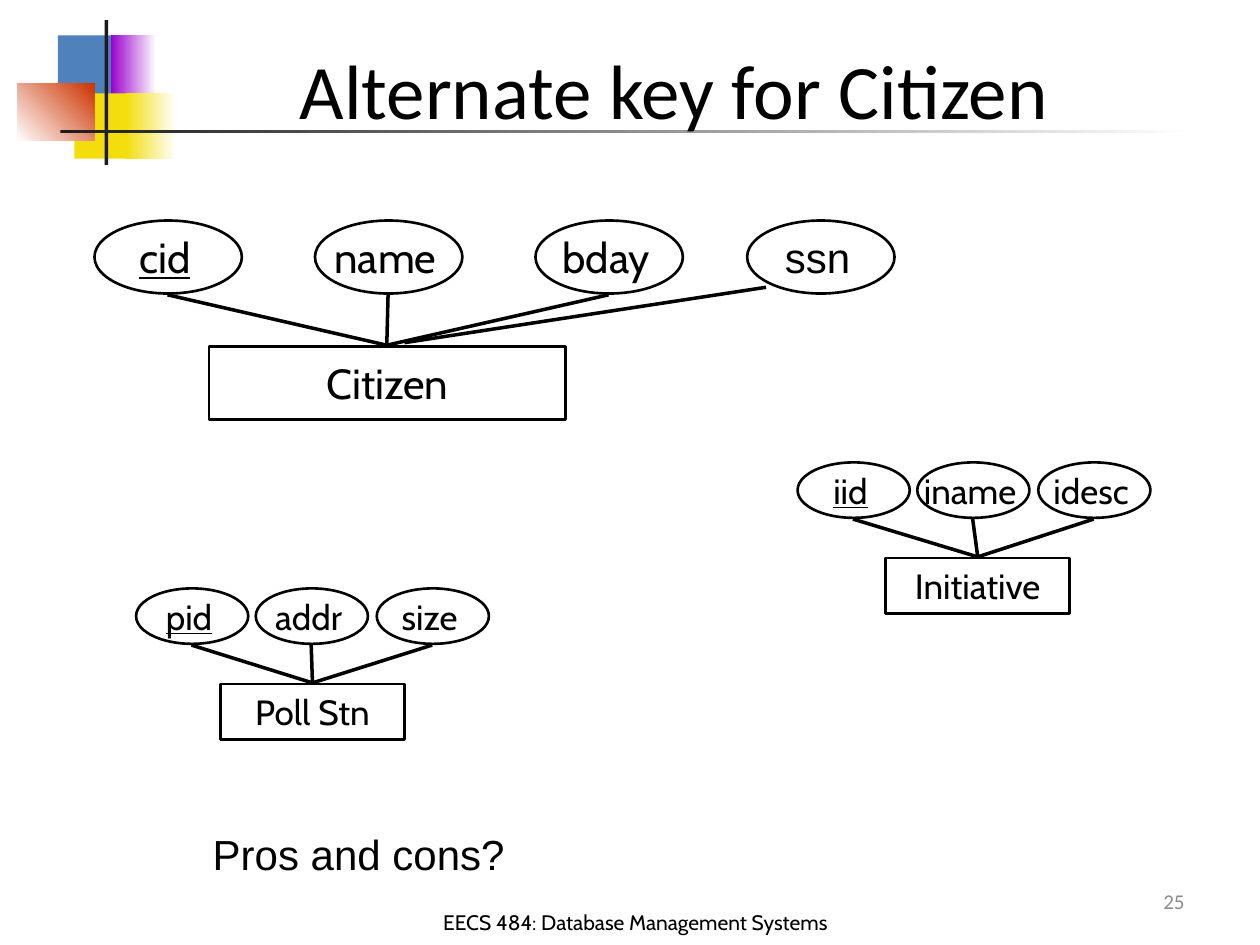
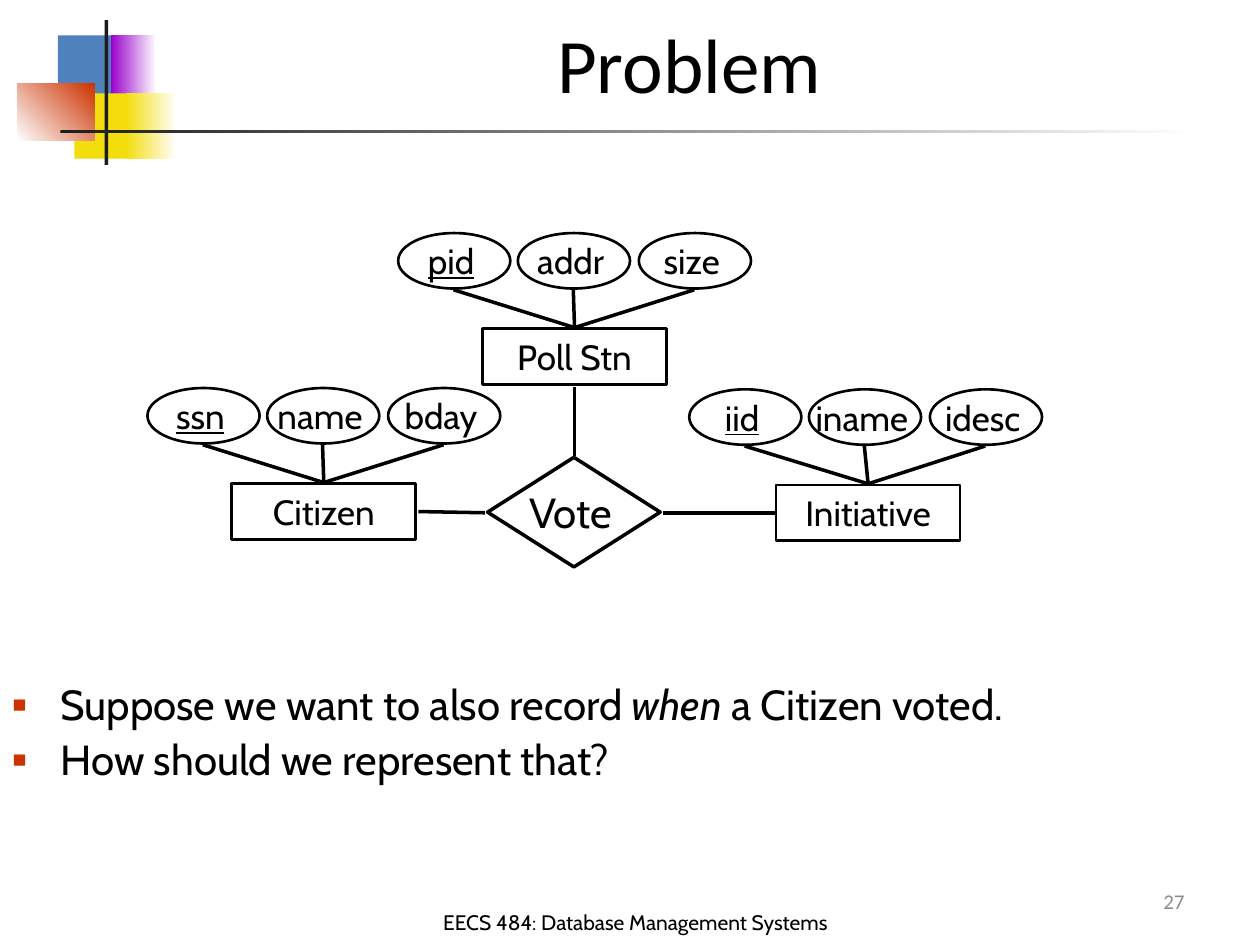
from lxml.etree import SubElement
from pptx import Presentation
from pptx.dml.color import RGBColor
from pptx.enum.shapes import MSO_CONNECTOR, MSO_SHAPE
from pptx.enum.text import MSO_ANCHOR, PP_ALIGN
from pptx.oxml.ns import qn
from pptx.util import Pt

PX = 9144  # 100 px to the inch

BLACK = RGBColor(0x00, 0x00, 0x00)
WHITE = RGBColor(0xFF, 0xFF, 0xFF)
GREY = RGBColor(0x8C, 0x8C, 0x8C)
INK = RGBColor(0x1C, 0x1C, 0x1C)
BLUE = RGBColor(0x4F, 0x81, 0xBD)
PURPLE = RGBColor(0x99, 0x00, 0xCC)
YELLOW = RGBColor(0xF3, 0xDD, 0x0D)
RED = RGBColor(0xCC, 0x33, 0x00)

HEAD, BODY, PLAIN = "Calibri", "Cabin", "Arial"
FOOTER = "EECS 484: Database Management Systems"

# box, first colour, second colour (None for a solid fill), angle
BANDS = [
    ((46, 28, 48, 52), BLUE, None, 0),
    ((88, 28, 36, 52), PURPLE, WHITE, 0),
    ((59, 74, 46, 52), YELLOW, None, 0),
    ((100, 74, 40, 52), YELLOW, WHITE, 0),
    ((14, 66, 61, 46), WHITE, RED, 45),
    ((83, 16, 3, 115), INK, None, 0),
    ((48, 103, 900, 3), INK, WHITE, 0),
]

# oval: width, height; span: first to third oval; drop: oval top to box top
SMALL = {"oval": (89, 44), "span": 191, "box": (146, 44), "drop": 76, "size": 20}
LARGE = {"oval": (117, 58), "span": 350, "box": (283, 58), "drop": 100, "size": 24}

# name, attributes (key first), left and top of the first oval, left of the box
POLL = ("Poll Stn", ["pid", "addr", "size"])
PLAN = ("Initiative", ["iid", "iname", "idesc"])
KEYS = [
    (("Citizen", ["cid", "name", "bday"]), (75, 175), 166, LARGE),
    (POLL, (108, 467), 175, SMALL),
    (PLAN, (633, 367), 703, SMALL),
]
VOTES = [
    (("Citizen", ["ssn", "name", "bday"]), (117, 308), 184, SMALL),
    (PLAN, (547, 309), 616, SMALL),
    (POLL, (316, 185), 383, SMALL),
]
VOTE_LINKS = [
    ((385, 407), (332, 406)),
    ((615, 407), (526, 407)),
    ((456, 362), (456, 307)),
]
POINTS = [
    [("Suppose we want to also record ", False), ("when", True),
     (" a Citizen voted.", False)],
    [("How should we represent that?", False)],
]


def emu(box):
    return [n * PX for n in box]


def style(font, size, name, color=BLACK):
    font.size, font.name = Pt(size), name
    font.color.rgb = color


def set_pad(frame, pad):
    (frame.margin_left, frame.margin_top,
     frame.margin_right, frame.margin_bottom) = emu(pad)


def write(shape, text, size, name, color=BLACK, align=PP_ALIGN.CENTER,
          anchor=MSO_ANCHOR.MIDDLE, pad=(10, 5, 10, 5), wrap=True, key=False):
    frame = shape.text_frame
    frame.word_wrap = wrap
    frame.vertical_anchor = anchor
    set_pad(frame, pad)
    frame.text = text
    para = frame.paragraphs[0]
    para.alignment = align
    font = para.runs[0].font
    style(font, size, name, color)
    if key:
        font.underline = True


def add_text(slide, box, *args, **kw):
    write(slide.shapes.add_textbox(*emu(box)), *args, **kw)


def add_band(slide, box, first, second, angle):
    shape = slide.shapes.add_shape(MSO_SHAPE.RECTANGLE, *emu(box))
    shape.shadow.inherit = False
    shape.line.fill.background()
    if second is None:
        shape.fill.solid()
        shape.fill.fore_color.rgb = first
        return
    shape.fill.gradient()
    shape.fill.gradient_angle = angle
    for stop, color in zip(shape.fill.gradient_stops, (first, second)):
        stop.color.rgb = color


def add_node(slide, kind, box, text, size, name=BODY, width=1.5,
             pad=(4, 4, 9, 4), key=False):
    """Outlined shape of the diagram with its label."""
    shape = slide.shapes.add_shape(kind, *emu(box))
    shape.shadow.inherit = False
    shape.fill.background()
    shape.line.color.rgb = BLACK
    shape.line.width = Pt(width)
    write(shape, text, size, name, pad=pad, wrap=False, key=key)


def add_link(slide, start, end):
    line = slide.shapes.add_connector(
        MSO_CONNECTOR.STRAIGHT, *emu(start + end))
    line.line.color.rgb = BLACK
    line.line.width = Pt(2)
    SubElement(line._element.spPr, qn("a:effectLst"))


def add_entity(slide, entity, start, left, look):
    """Entity box with its attribute ovals above, the first one being the key."""
    name, attrs = entity
    x, y = start
    wide, high = look["oval"]
    top = y + look["drop"]
    hub = (left + look["box"][0] // 2, top - 1)
    for i, attr in enumerate(attrs):
        at = x + i * look["span"] // 2
        add_node(slide, MSO_SHAPE.OVAL, (at, y, wide, high), attr,
                 look["size"], key=i == 0)
        add_link(slide, (at + wide // 2, y + high + 1), hub)
    add_node(slide, MSO_SHAPE.RECTANGLE, (left, top, *look["box"]), name,
             look["size"], pad=(0, 0, 0, 0))


def add_bullet(para):
    props = para._p.get_or_add_pPr()
    props.set("marL", str(42 * PX))
    props.set("indent", str(-38 * PX))
    color = SubElement(props, qn("a:buClr"))
    SubElement(color, qn("a:srgbClr"), val=str(RED))
    SubElement(props, qn("a:buSzPct"), val="55000")
    SubElement(props, qn("a:buFont"), typeface=PLAIN)
    SubElement(props, qn("a:buChar"), char="■")


def add_points(slide, box, points):
    frame = slide.shapes.add_textbox(*emu(box)).text_frame
    frame.word_wrap = True
    set_pad(frame, (0, 0, 4, 0))
    for i, parts in enumerate(points):
        para = frame.add_paragraph() if i else frame.paragraphs[0]
        add_bullet(para)
        para.line_spacing = 0.9
        if i:
            para.space_before = Pt(5.8)
        for text, slant in parts:
            run = para.add_run()
            run.text = text
            style(run.font, 24, BODY)
            run.font.italic = slant


def add_slide(deck, title, box, number, entities):
    slide = deck.slides.add_slide(deck.slide_layouts[6])
    for band in BANDS:
        add_band(slide, *band)
    add_text(slide, box, title, 44, HEAD)
    add_text(slide, (717, 695, 233, 40), number, 12, HEAD, GREY,
             align=PP_ALIGN.RIGHT)
    add_text(slide, (233, 711, 543, 31), FOOTER, 12, BODY,
             anchor=MSO_ANCHOR.BOTTOM, pad=(0, 0, 0, 0))
    for entity in entities:
        add_entity(slide, *entity)
    return slide


def main():
    deck = Presentation()
    deck.slide_width, deck.slide_height = emu((1000, 750))

    slide = add_slide(deck, "Alternate key for Citizen", (109, 8, 852, 125),
                      "25", KEYS)
    add_node(slide, MSO_SHAPE.OVAL, (593, 175, *LARGE["oval"]), "ssn", 24, PLAIN)
    add_link(slide, (608, 228), (321, 272))
    add_text(slide, (159, 653, 254, 50), "Pros and cons?", 24, PLAIN,
             align=PP_ALIGN.LEFT, anchor=MSO_ANCHOR.TOP, wrap=False)

    slide = add_slide(deck, "Problem", (122, 0, 850, 100), "27", VOTES)
    add_node(slide, MSO_SHAPE.DIAMOND, (387, 363, 137, 87), "Vote", 24, width=2)
    for start, end in VOTE_LINKS:
        add_link(slide, start, end)
    add_points(slide, (6, 543, 968, 185), POINTS)

    deck.save("out.pptx")


if __name__ == "__main__":
    main()
